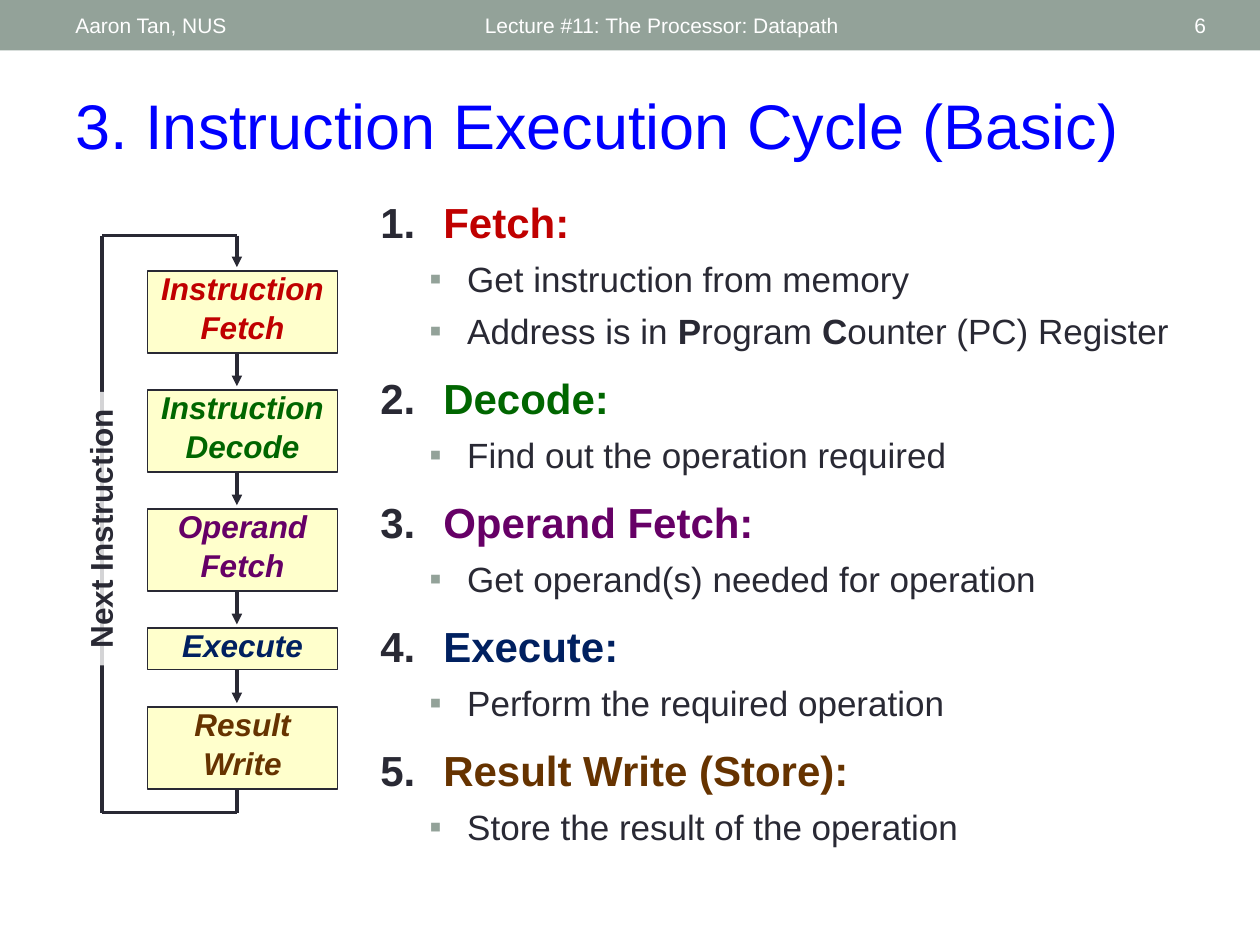
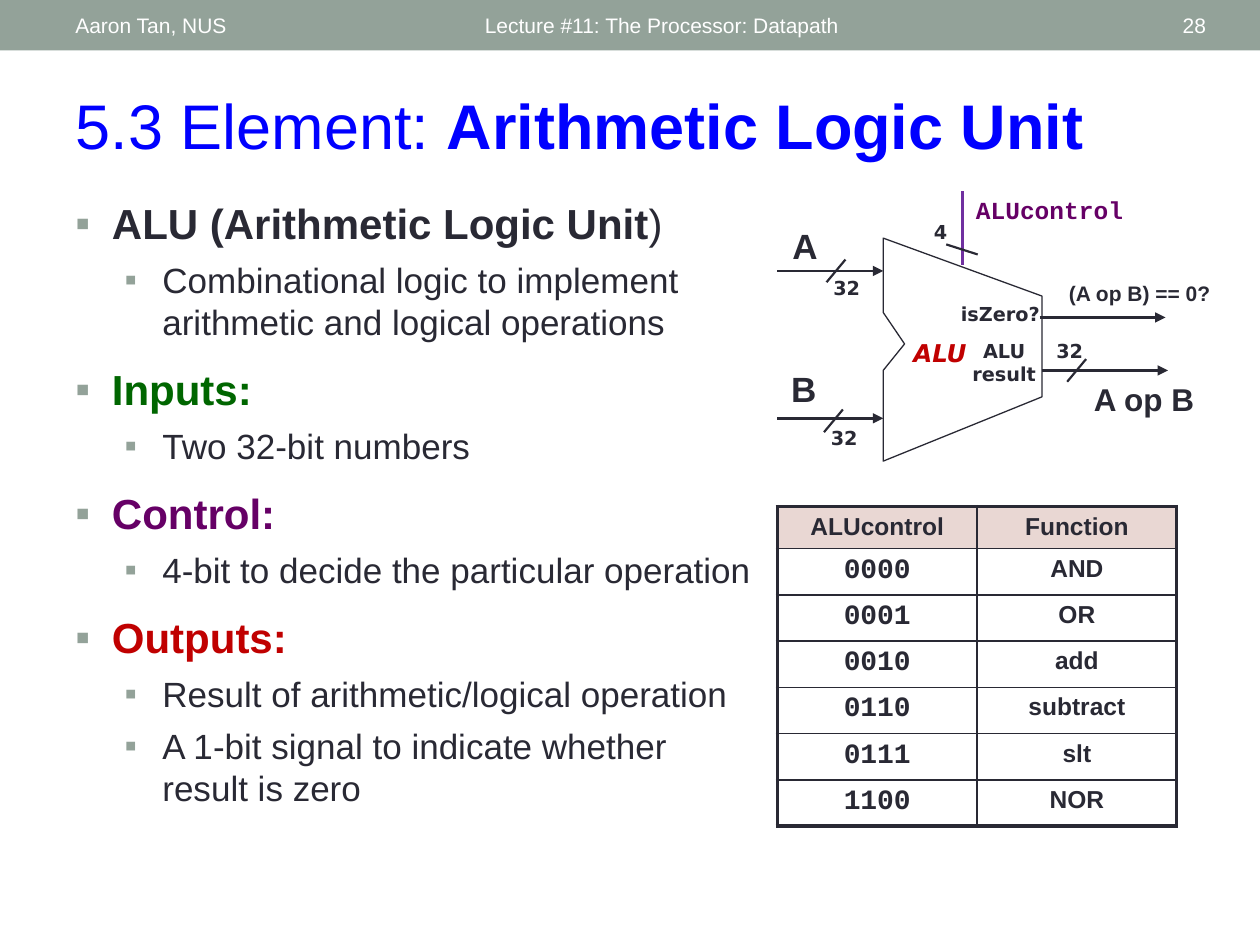
from dataclasses import dataclass
from itertools import pairwise
from typing import NamedTuple

from lxml.etree import SubElement as Sub
from pptx import Presentation
from pptx.dml.color import RGBColor as Rgb
from pptx.enum.shapes import MSO_CONNECTOR as Wire, MSO_SHAPE as Form
from pptx.enum.text import MSO_ANCHOR as Anchor, PP_ALIGN as Align
from pptx.oxml.ns import qn
from pptx.slide import Slide
from pptx.util import Emu, Inches, Pt

WIDE, HIGH = Inches(10), Inches(7.5)
COL, ROW = WIDE // 100, HIGH // 75
HUES = {
    "ink": "292934", "band": "93A299", "title": "0000FF", "white": "FFFFFF",
    "red": "C00000", "green": "006600", "plum": "660066", "navy": "002060",
    "brown": "663300", "cream": "FFFFCC", "pink": "E9D7D3", "wire": "7030A0",
}
SANS, MONO, DEJA = "Arial", "Courier New", "DejaVu Sans"


class Area(NamedTuple):
    """A box in grid columns and rows."""
    x: float
    y: float
    w: float
    h: float


@dataclass
class Style:
    """The look of a paragraph."""
    size: float
    hue: str = "ink"
    face: str = SANS
    bold: bool = True
    slant: bool = False
    align: Align = Align.CENTER


@dataclass
class Item:
    """One entry of a list."""
    text: str
    hue: str = "ink"
    level: int = 0


@dataclass
class Label:
    """A short text on the diagram."""
    text: str
    area: Area
    style: Style
    mid: bool = False
    wrap: bool = False


@dataclass
class Step:
    """A stage of the cycle."""
    text: str
    hue: str


def emus(spot: tuple) -> list[Emu]:
    """Turn grid columns and rows, in turn, into lengths."""
    return [Emu(round(n * u)) for n, u in zip(spot, (COL, ROW) * 2)]


def tint(name: str) -> Rgb:
    """Look up a colour."""
    return Rgb.from_string(HUES[name])


def write(para, text: str, style: Style) -> None:
    """Fill a paragraph; stars switch bold on and off."""
    para.alignment = style.align
    font = para.font
    font.size, font.name, font.italic = Pt(style.size), style.face, style.slant
    font.color.rgb = tint(style.hue)
    parts = [(s, i % 2 == 1) for i, s in enumerate(text.split("*")) if s]
    font.bold = style.bold or parts[0][1]
    for part, bold in parts:
        run = para.add_run()
        run.text = part
        if len(parts) > 1:
            run.font.bold = bold


def put_text(slide: Slide, tag: Label) -> None:
    """Add a text box, one paragraph per line."""
    frame = slide.shapes.add_textbox(*emus(tag.area)).text_frame
    frame.word_wrap = tag.wrap
    if not tag.wrap:
        frame.margin_left = frame.margin_right = 0
    frame.vertical_anchor = Anchor.MIDDLE if tag.mid else Anchor.TOP
    for i, line in enumerate(tag.text.split("\n")):
        write(frame.add_paragraph() if i else frame.paragraphs[0], line, tag.style)


def put_rect(slide: Slide, area: Area, fill: str, edge: str = ""):
    """Add a plain rectangle."""
    rect = slide.shapes.add_shape(Form.RECTANGLE, *emus(area))
    rect.shadow.inherit = False
    rect.fill.solid()
    rect.fill.fore_color.rgb = tint(fill)
    if edge:
        rect.line.color.rgb, rect.line.width = tint(edge), Pt(1)
    else:
        rect.line.fill.background()
    return rect


def put_line(slide: Slide, start: tuple, end: tuple, width: float,
             head: bool = False, hue: str = "ink") -> None:
    """Add a straight line or arrow."""
    line = slide.shapes.add_connector(Wire.STRAIGHT, *emus(start + end))
    line.line.color.rgb, line.line.width = tint(hue), Pt(width)
    props = line._element.spPr
    if head:
        Sub(props.find(qn("a:ln")), qn("a:tailEnd"), type="triangle")
    Sub(props, qn("a:effectLst"))


def set_mark(para, hue: str, left: float, hang: float, auto: bool) -> None:
    """Give a paragraph its indent and its bullet or number."""
    props = para._p.get_or_add_pPr()
    props.set("marL", str(Inches(left)))
    props.set("indent", str(-Inches(hang)))
    Sub(Sub(props, qn("a:buClr")), qn("a:srgbClr"), val=HUES[hue])
    Sub(props, qn("a:buFont"), typeface=SANS)
    if auto:
        Sub(props, qn("a:buAutoNum"), type="arabicPeriod")
    else:
        Sub(props, qn("a:buChar"), char="▪")


def put_list(slide: Slide, area: Area, items: list[Item], auto: bool = False) -> None:
    """Add a two-level list."""
    frame = slide.shapes.add_textbox(*emus(area)).text_frame
    frame.word_wrap = True
    for i, item in enumerate(items):
        para = frame.add_paragraph() if i else frame.paragraphs[0]
        para.level = item.level
        if i:
            para.space_before = Pt(6 if item.level else 12)
        if item.level:
            set_mark(para, "band", 0.69, 0.3, False)
        elif auto:
            set_mark(para, "ink", 0.5, 0.5, True)
        else:
            set_mark(para, "band", 0.29, 0.29, False)
        size = 20 if item.level else 24
        write(para, item.text, Style(size, item.hue, bold=False, align=Align.LEFT))


def start(deck, title: str, page: int) -> Slide:
    """Add a slide with its band and title."""
    slide = deck.slides.add_slide(deck.slide_layouts[5])
    put_rect(slide, Area(0, 0, 100, 4), "band")
    left = Style(12, "white", bold=False, align=Align.LEFT)
    right = Style(12, "white", bold=False, align=Align.RIGHT)
    for text, x, w, style in (("Aaron Tan, NUS", 5, 31.7, left),
                              ("Lecture #11: The Processor: Datapath", 37.5, 45, left),
                              (str(page), 87.2, 9.5, right)):
        put_text(slide, Label(text, Area(x, 0.2, w, 3.6), style, True, True))
    head = slide.shapes.title
    head.left, head.top, head.width, head.height = emus(Area(5, 6.4, 91.7, 7.1))
    head.text_frame.vertical_anchor = Anchor.TOP
    write(head.text_frame.paragraphs[0], title,
          Style(36, "title", bold=False, align=Align.LEFT))
    return slide


def cycle(deck) -> None:
    """Build the slide on the execution cycle."""
    slide = start(deck, "3. Instruction Execution Cycle (Basic)", 6)
    put_list(slide, Area(29.2, 15.1, 66.7, 55.2), [
        Item("*Fetch:*", "red"),
        Item("Get instruction from memory", level=1),
        Item("Address is in *P*rogram *C*ounter (PC) Register", level=1),
        Item("*Decode:*", "green"),
        Item("Find out the operation required", level=1),
        Item("*Operand Fetch:*", "plum"),
        Item("Get operand(s) needed for operation", level=1),
        Item("*Execute:*", "navy"),
        Item("Perform the required operation", level=1),
        Item("*Result Write (Store):*", "brown"),
        Item("Store the result of the operation", level=1),
    ], auto=True)
    steps = [Step("Instruction\nFetch", "red"), Step("Instruction\nDecode", "green"),
             Step("Operand\nFetch", "plum"), Step("Execute", "navy"),
             Step("Result\nWrite", "brown")]
    mid, top, gap = 18.8, 21.5, 2.95
    for i, step in enumerate(steps):
        lines = step.text.split("\n")
        high = 6.5 if len(lines) > 1 else 3.3
        frame = put_rect(slide, Area(11.7, top, 15.1, high), "cream", "ink").text_frame
        frame.margin_left = frame.margin_right = Inches(0.07)
        frame.margin_top = frame.margin_bottom = Inches(0.03)
        frame.vertical_anchor = Anchor.TOP
        for j, line in enumerate(lines):
            para = frame.add_paragraph() if j else frame.paragraphs[0]
            para.line_spacing = 0.86
            if j:
                para.space_before = Pt(3.6)
            write(para, line, Style(18, step.hue, slant=True))
        top += high
        if i < len(steps) - 1:
            put_line(slide, (mid, top), (mid, top + gap - 0.3), 2, True)
            top += gap
    loop = [(mid, top), (mid, 64.5), (8.1, 64.5), (8.1, 18.7), (mid, 18.7), (mid, 21.2)]
    for a, b in pairwise(loop):
        put_line(slide, a, b, 2, b == loop[-1])
    sign = put_rect(slide, Area(-2.9, 40, 21.7, 3.9), "white")
    sign.rotation = 270
    shade = sign._element.spPr.find(qn("a:solidFill"))[0]
    Sub(shade, qn("a:alpha"), val="80000")
    sign.text_frame.vertical_anchor = Anchor.MIDDLE
    write(sign.text_frame.paragraphs[0], "Next Instruction", Style(18))


def put_table(slide: Slide, area: Area, rows: list[tuple[str, str]]) -> None:
    """Add the ruled table of control codes."""
    last = len(rows) - 1
    grid = slide.shapes.add_table(len(rows), 2, *emus(area)).table
    for r, row in enumerate(rows):
        grid.rows[r].height = Emu(round(ROW * (3.67 if r else 3.3)))
        for c, text in enumerate(row):
            cell = grid.cell(r, c)
            code = r > 0 and c == 0
            write(cell.text_frame.paragraphs[0], text,
                  Style(16, face=MONO) if code else Style(14))
            props = cell._tc.get_or_add_tcPr()
            for side, outer in (("L", c == 0), ("R", c == 1),
                                ("T", r == 0), ("B", r == last)):
                edge = Sub(props, qn(f"a:ln{side}"), w=str(Pt(2.25 if outer else 1)))
                Sub(Sub(edge, qn("a:solidFill")), qn("a:srgbClr"), val=HUES["ink"])
            cell.fill.solid()
            cell.fill.fore_color.rgb = tint("white" if r else "pink")


def unit(deck) -> None:
    """Build the slide on the logic unit."""
    slide = start(deck, "5.3 Element: *Arithmetic Logic Unit*", 28)
    put_list(slide, Area(5, 15.2, 55.8, 53.7), [
        Item("*ALU (Arithmetic Logic Unit*)"),
        Item("Combinational logic to implement arithmetic and logical operations", level=1),
        Item("*Inputs:*", "green"),
        Item("Two 32-bit numbers", level=1),
        Item("*Control:*", "plum"),
        Item("4-bit to decide the particular operation", level=1),
        Item("*Outputs:*", "red"),
        Item("Result of arithmetic/logical operation", level=1),
        Item("A 1-bit signal to indicate whether result is zero", level=1),
    ])
    put_table(slide, Area(61.7, 40.2, 31.7, 25.3), [
        ("ALUcontrol", "Function"), ("0000", "AND"), ("0001", "OR"), ("0010", "add"),
        ("0110", "subtract"), ("0111", "slt"), ("1100", "NOR")])
    rim = [emus(spot) for spot in (
        (70.1, 18.9), (82.7, 23.5), (82.7, 31.5), (70.1, 36.6),
        (70.1, 29.4), (71.8, 27.3), (70.1, 24.8))]
    pen = slide.shapes.build_freeform(*rim[0])
    pen.add_line_segments(rim[1:], close=True)
    body = pen.convert_to_shape()
    body.shadow.inherit = False
    body.fill.background()
    body.line.color.rgb, body.line.width = tint("ink"), Pt(0.75)
    for x, y, w in ((61.7, 21.5, 8.4), (61.7, 33.2, 8.4), (82.5, 25.2, 10), (82.7, 29.4, 10)):
        put_line(slide, (x, y), (x + w, y), 1.5, True)
    put_line(slide, (76.4, 15.2), (76.4, 21), 1.5, hue="wire")
    put_line(slide, (75.1, 19.4), (77.6, 20.2), 1.25)
    small = Style(11, face=DEJA)
    for x, y, left, top in ((67.1, 20.6, 65.1, 21.4), (66.9, 32.5, 64.9, 33.3),
                            (86.2, 28.5, 82.8, 26.4)):
        put_line(slide, (x, y), (x - 1.5, y + 1.8), 1.25)
        put_text(slide, Label("32", Area(left, top, 4.2, 2.9), small))
    for tag in (
        Label("ALU\nresult", Area(76.2, 26.4, 7, 4.7), small),
        Label("ALU", Area(71.4, 26.3, 6.4, 3.4), Style(14, "red", DEJA, slant=True)),
        Label("ALUcontrol", Area(76.2, 15, 14.2, 3.4), Style(14, "plum", MONO)),
        Label("4", Area(73.1, 17, 3.1, 2.9), small),
        Label("isZero?", Area(75, 23.5, 8.8, 2.9), small, wrap=True),
        Label("A", Area(61.8, 17.8, 4.2, 3.3), Style(20), True, True),
        Label("B", Area(61.7, 29.2, 4.2, 3.3), Style(20), True, True),
        Label("A op B", Area(85.8, 30, 10, 3.3), Style(18), True, True),
        Label("(A op B) == 0?", Area(83.8, 21.6, 13.3, 3.3), Style(12), True, True),
    ):
        put_text(slide, tag)


def main() -> None:
    """Build and save the deck."""
    deck = Presentation()
    deck.slide_width, deck.slide_height = WIDE, HIGH
    cycle(deck)
    unit(deck)
    deck.save("out.pptx")


if __name__ == "__main__":
    main()
